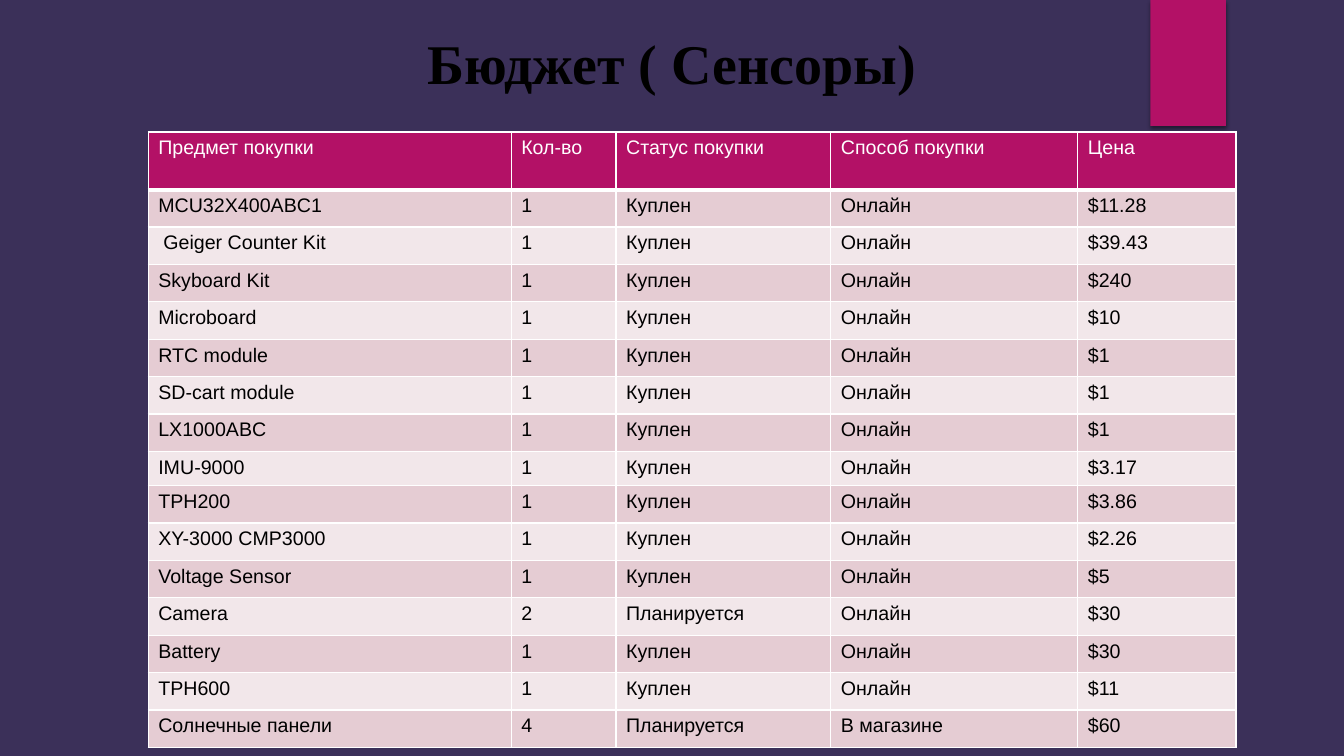
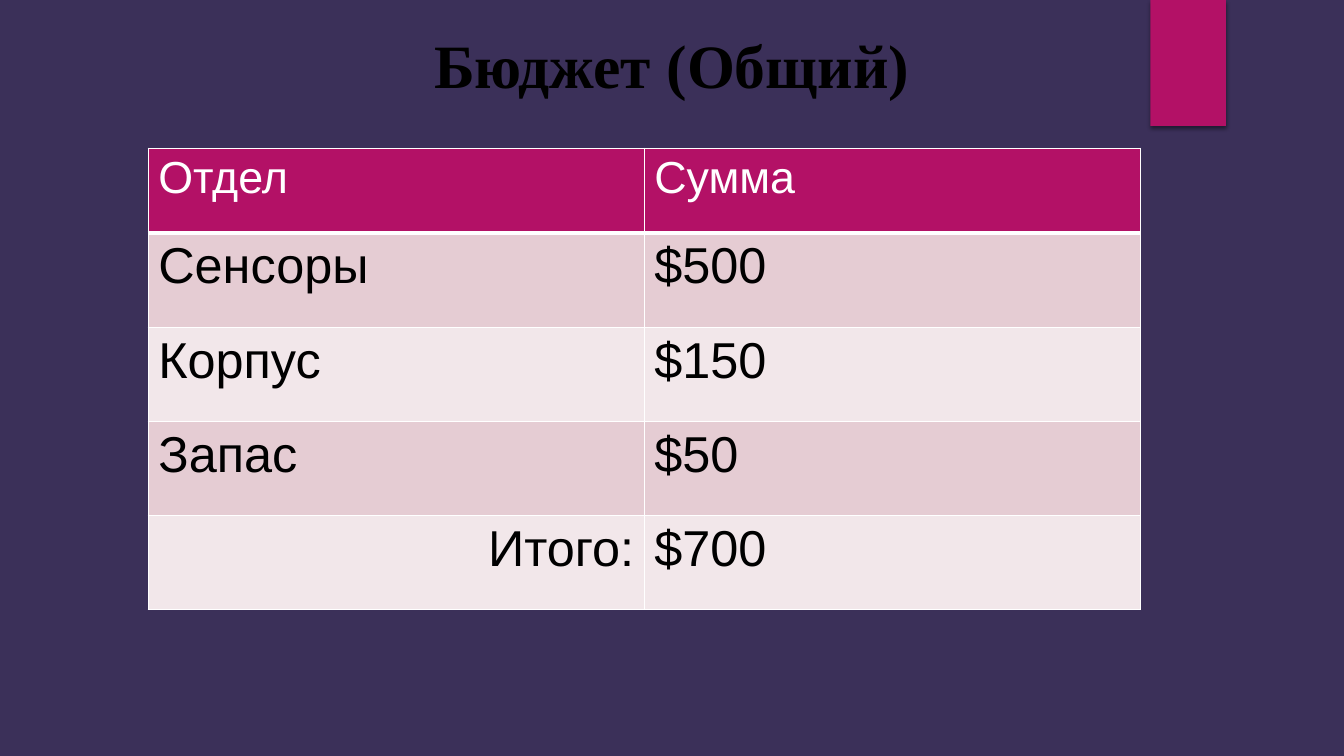
"""Builds two budget slides: the sensor purchases and the overall total."""
from lxml import etree
from pptx import Presentation
from pptx.dml.color import RGBColor
from pptx.enum.shapes import MSO_SHAPE
from pptx.enum.text import MSO_ANCHOR, MSO_AUTO_SIZE, PP_ALIGN
from pptx.oxml.ns import qn
from pptx.util import Inches, Pt

RECTANGLE = MSO_SHAPE.RECTANGLE
MIDDLE = MSO_ANCHOR.MIDDLE
GROW = MSO_AUTO_SIZE.SHAPE_TO_FIT_TEXT
LEFT, CENTER, RIGHT = PP_ALIGN.LEFT, PP_ALIGN.CENTER, PP_ALIGN.RIGHT

COLORS = {
    "background": "3B3059",
    "accent": "B31166",
    "odd_row": "E5CCD3",
    "even_row": "F2E7EA",
    "light": "FFFFFF",
    "dark": "000000",
}
TITLE_FONT, TABLE_FONT = "Times New Roman", "Arial"
TITLE_ONLY = 5
TABLE_LEFT = Inches(1.47)
INDENTED = "Geiger Counter Kit"
TOTAL_LABEL = "Итого:"

BOUGHT, PLANNED, ONLINE, IN_SHOP = "Куплен", "Планируется", "Онлайн", "В магазине"
PURCHASES = [
    ("MCU32X400ABC1", "1", BOUGHT, ONLINE, "$11.28"),
    (INDENTED, "1", BOUGHT, ONLINE, "$39.43"),
    ("Skyboard Kit", "1", BOUGHT, ONLINE, "$240"),
    ("Microboard", "1", BOUGHT, ONLINE, "$10"),
    ("RTC module", "1", BOUGHT, ONLINE, "$1"),
    ("SD-cart module", "1", BOUGHT, ONLINE, "$1"),
    ("LX1000ABC", "1", BOUGHT, ONLINE, "$1"),
    ("IMU-9000", "1", BOUGHT, ONLINE, "$3.17"),
    ("TPH200", "1", BOUGHT, ONLINE, "$3.86"),
    ("XY-3000 CMP3000", "1", BOUGHT, ONLINE, "$2.26"),
    ("Voltage Sensor", "1", BOUGHT, ONLINE, "$5"),
    ("Camera", "2", PLANNED, ONLINE, "$30"),
    ("Battery", "1", BOUGHT, ONLINE, "$30"),
    ("TPH600", "1", BOUGHT, ONLINE, "$11"),
    ("Солнечные панели", "4", PLANNED, IN_SHOP, "$60"),
]
DEPARTMENTS = [
    ("Сенсоры", "$500"),
    ("Корпус", "$150"),
    ("Запас", "$50"),
    (TOTAL_LABEL, "$700"),
]
SLIDES = [
    {
        "title": "Бюджет ( Сенсоры)", "title_size": 40, "title_top": 0.23, "title_height": 0.77,
        "header": ("Предмет покупки", "Кол-во", "Статус покупки", "Способ покупки", "Цена"),
        "body": PURCHASES, "top": 1.31, "width": 10.79, "height": 6.11,
        "columns": [3.6, 1.04, 2.13, 2.45, 1.57],
        "rows": [0.57] + [0.37] * 7 + [0.34] + [0.37] * 7,
        "header_size": 14, "body_size": 14,
    },
    {
        "title": "Бюджет (Общий)", "title_size": 44, "title_top": 0.21, "title_height": 0.84,
        "header": ("Отдел", "Сумма"),
        "body": DEPARTMENTS, "top": 1.47, "width": 9.84, "height": 4.58,
        "columns": [1, 1],
        "rows": [0.84] + [0.93] * 4,
        "header_size": 32, "body_size": 36,
    },
]


def add_span(para, text, font, size, color, bold=False):
    span = para.add_run()
    span.text = text
    span.font.name = font
    span.font.size = Pt(size)
    span.font.bold = bold
    span.font.color.rgb = RGBColor.from_string(COLORS[color])


def add_solid(parent, color):
    fill = etree.SubElement(parent, qn("a:solidFill"))
    return etree.SubElement(fill, qn("a:srgbClr"), val=COLORS[color])


deck = Presentation()
deck.slide_width, deck.slide_height = Inches(13.33), Inches(7.5)
backdrop = deck.slide_master.background.fill
backdrop.solid()
backdrop.fore_color.rgb = RGBColor.from_string(COLORS["background"])

for content in SLIDES:
    page = deck.slides.add_slide(deck.slide_layouts[TITLE_ONLY])

    ribbon = page.shapes.add_shape(RECTANGLE, Inches(11.41), 0, Inches(0.75), deck.slide_height // 6)
    ribbon.fill.solid()
    ribbon.fill.fore_color.rgb = RGBColor.from_string(COLORS["accent"])
    ribbon.line.fill.background()
    ribbon.shadow.inherit = False
    effects = ribbon.element.spPr.find(qn("a:effectLst"))
    shadow = etree.SubElement(effects, qn("a:outerShdw"), blurRad=str(Pt(3)), dist=str(Pt(2)),
                              dir="5400000", rotWithShape="0")
    shade = etree.SubElement(shadow, qn("a:srgbClr"), val=COLORS["dark"])
    etree.SubElement(shade, qn("a:alpha"), val="45000")

    title = page.shapes.title
    title.left, title.top = 0, Inches(content["title_top"])
    title.width, title.height = deck.slide_width, Inches(content["title_height"])
    frame = title.text_frame
    frame.word_wrap = True
    frame.auto_size = GROW
    frame.vertical_anchor = MIDDLE
    para = frame.paragraphs[0]
    para.alignment = CENTER
    add_span(para, content["title"], TITLE_FONT, content["title_size"], "dark", bold=True)

    records = [content["header"]] + content["body"]
    width, height = Inches(content["width"]), Inches(content["height"])
    table = page.shapes.add_table(len(records), len(content["columns"]), TABLE_LEFT,
                                  Inches(content["top"]), width, height).table
    for column, share in zip(table.columns, content["columns"]):
        column.width = round(width * share / sum(content["columns"]))
    for row, share in zip(table.rows, content["rows"]):
        row.height = round(height * share / sum(content["rows"]))

    for row_index, record in enumerate(records):
        is_header = row_index == 0
        fill_name = "accent" if is_header else "odd_row" if row_index % 2 else "even_row"
        size = content["header_size"] if is_header else content["body_size"]
        for column_index, text in enumerate(record):
            cell = table.cell(row_index, column_index)
            properties = cell._tc.get_or_add_tcPr()
            for side in ("L", "R", "T", "B"):
                weight = 3 if is_header and side == "B" else 1
                border = etree.SubElement(properties, qn(f"a:ln{side}"), w=str(Pt(weight)))
                add_solid(border, "light")
            cell.fill.solid()
            cell.fill.fore_color.rgb = RGBColor.from_string(COLORS[fill_name])
            if text == INDENTED:
                cell.margin_left = Inches(0.15)
            para = cell.text_frame.paragraphs[0]
            para.alignment = RIGHT if text == TOTAL_LABEL else LEFT
            add_span(para, text, TABLE_FONT, size, "light" if is_header else "dark")

deck.save("out.pptx")
